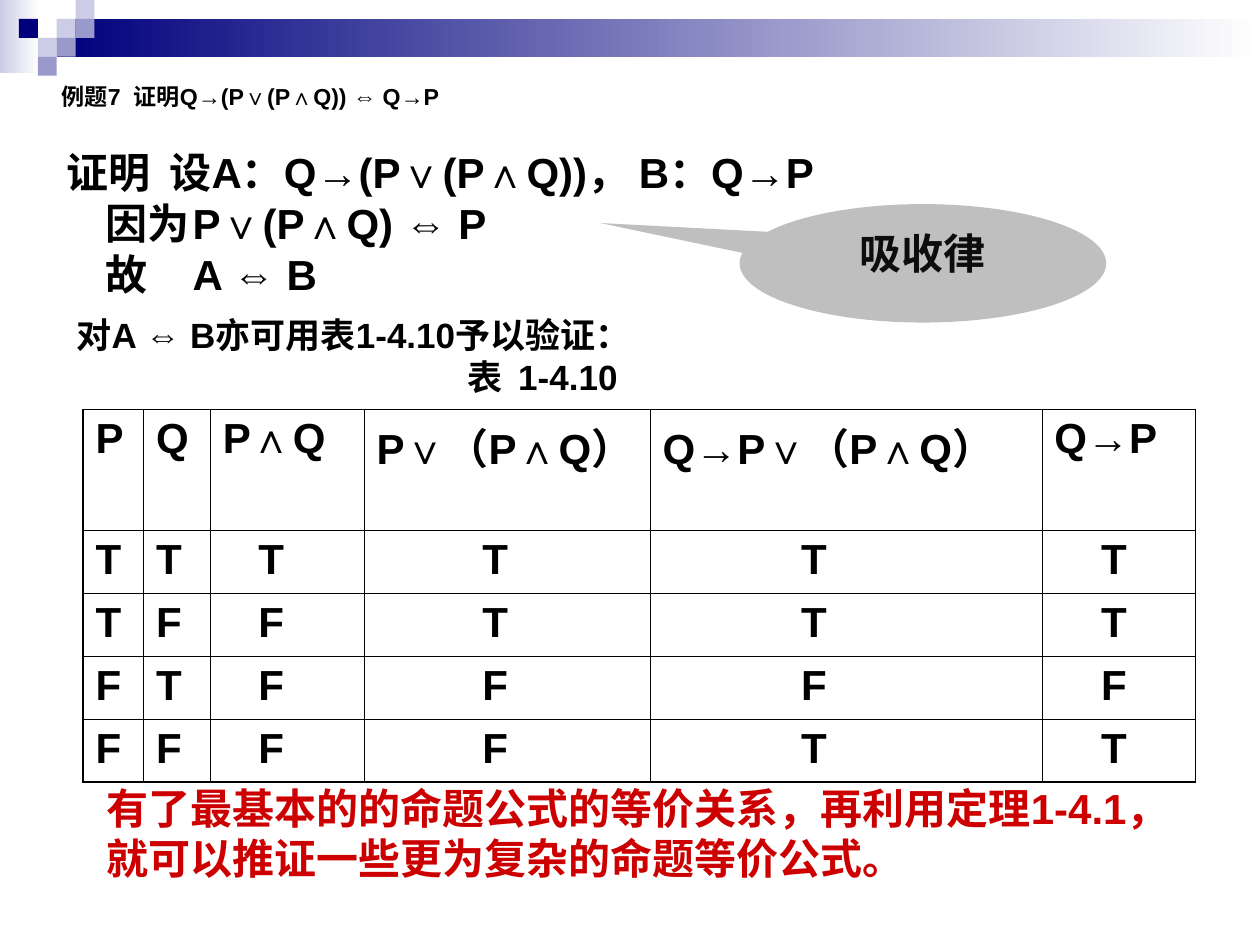
from dataclasses import dataclass

from lxml.etree import SubElement
from pptx import Presentation
from pptx.dml.color import RGBColor
from pptx.enum.shapes import MSO_SHAPE as Shape
from pptx.enum.text import MSO_ANCHOR as Anchor, MSO_AUTO_SIZE as AutoSize, PP_ALIGN as Align
from pptx.oxml import parse_xml
from pptx.oxml.ns import nsdecls, qn
from pptx.util import Inches, Pt


@dataclass(frozen=True)
class Theme:
    font: str = "Arial"
    ink: str = "000000"
    red: str = "CC0000"
    label: str = "0D0D0D"
    bubble: str = "BFBFBF"
    navy: str = "00007D"
    mid: str = "9999CC"
    pale: str = "CCCCE6"
    white: str = "FFFFFF"
    title: float = 13.2
    body: int = 24
    note: int = 20
    outer: float = 1.08
    inner: float = 0.45


THEME = Theme()


def color(value):
    return RGBColor.from_string(value)


def style(para, size, ink=THEME.ink, spacing=1.0, before=0):
    para.line_spacing = spacing
    para.space_before = Pt(before)
    para.font.name = THEME.font
    para.font.size = Pt(size)
    para.font.bold = True
    para.font.color.rgb = color(ink)


def set_indent(para, first, tab=None):
    props = para._p.get_or_add_pPr()
    props.set("marL", "0")
    props.set("indent", str(Inches(first)))
    if tab is not None:
        tabs = SubElement(props, qn("a:tabLst"))
        SubElement(tabs, qn("a:tab"), pos=str(Inches(tab)), algn="l")


def add_text(page, box, lines, size, ink=THEME.ink, spacing=1.0, before=0):
    frame = page.shapes.add_textbox(*map(Inches, box)).text_frame
    frame.word_wrap = True
    for index, (text, first, tab) in enumerate(lines):
        para = frame.paragraphs[0] if index == 0 else frame.add_paragraph()
        para.text = text
        set_indent(para, first, tab)
        style(para, size, ink, spacing, before if index else 0)


def add_block(page, kind, box, fill, fade_to=None):
    block = page.shapes.add_shape(kind, *map(Inches, box))
    block.shadow.inherit = False
    block.line.fill.background()
    if fade_to:
        block.fill.gradient()
        block.fill.gradient_angle = 0
        for stop, position, value in zip(block.fill.gradient_stops, (0, 1), (fill, fade_to)):
            stop.position = position
            stop.color.rgb = color(value)
    else:
        block.fill.solid()
        block.fill.fore_color.rgb = color(fill)
    return block


def add_banner(page, box):
    left, top, width, unit = box
    add_block(page, Shape.RECTANGLE, (left, top, 0.31, 0.58), THEME.pale, THEME.white)
    add_block(page, Shape.RECTANGLE, (left + 3 * unit, top + unit, width - 3 * unit, 2 * unit),
              THEME.navy, THEME.white)
    mosaic = {
        THEME.pale: [(3, 1), (4, 0), (2, 2)],
        THEME.mid: [(4, 1), (3, 2), (2, 3)],
        THEME.navy: [(1, 1)],
    }
    for fill, tiles in mosaic.items():
        for column, row in tiles:
            add_block(page, Shape.RECTANGLE, (left + column * unit, top + row * unit, unit, unit), fill)


def add_title(page, box, text):
    title = page.shapes.title
    title.left, title.top, title.width, title.height = map(Inches, box)
    frame = title.text_frame
    frame.auto_size = AutoSize.NONE
    frame.vertical_anchor = Anchor.TOP
    frame.margin_left = Inches(0.14)
    para = frame.paragraphs[0]
    para.text = text
    para.alignment = Align.LEFT
    style(para, THEME.title, spacing=0.6)


def set_borders(cell, weights):
    props = cell._tc.get_or_add_tcPr()
    for index, (side, weight) in enumerate(weights.items()):
        props.insert(index, parse_xml(
            f'<a:ln{side} {nsdecls("a")} w="{Pt(weight)}"><a:solidFill>'
            f'<a:srgbClr val="{THEME.ink}"/></a:solidFill></a:ln{side}>'))


def add_truth_table(page, box):
    headers = ["P", "Q", "P∧Q", "P∨（P∧Q）", "Q→P∨（P∧Q）", "Q→P"]
    rows = [headers, *("TTTTTT", "TFFTTT", "FTFFFF", "FFFFTT")]
    widths = [0.48, 0.53, 1.22, 2.27, 3.11, 1.22]
    heights = [0.9] + [0.5] * 4
    shifts = [0, 0, 0.28, 0.84, 1.1, 0.37]
    table = page.shapes.add_table(len(rows), len(headers), *map(Inches, box)).table
    table.first_row = table.horz_banding = False
    for column, width in zip(table.columns, widths):
        column.width = Inches(width)
    last_row, last_column = len(rows) - 1, len(headers) - 1
    for r, values in enumerate(rows):
        table.rows[r].height = Inches(heights[r])
        for c, value in enumerate(values):
            cell = table.cell(r, c)
            cell.fill.background()
            cell.margin_left = Inches(0.1 + (shifts[c] if r else 0))
            para = cell.text_frame.paragraphs[0]
            para.text = value
            style(para, THEME.body)
            edges = {"L": c == 0, "R": c == last_column, "T": r == 0, "B": r == last_row}
            set_borders(cell, {side: THEME.outer if edge else THEME.inner
                               for side, edge in edges.items()})


def add_callout(page, box, text):
    bubble = add_block(page, Shape.OVAL_CALLOUT, box, THEME.bubble)
    bubble.adjustments[0] = -0.88
    bubble.adjustments[1] = -0.34
    frame = bubble.text_frame
    frame.vertical_anchor = Anchor.TOP
    para = frame.paragraphs[0]
    para.text = text
    para.alignment = Align.CENTER
    style(para, THEME.body, THEME.label)


def build_page(deck):
    page = deck.slides.add_slide(deck.slide_layouts[5])
    add_banner(page, (0, 0, 10, 0.15))
    add_title(page, (0.35, 0.68, 9.39, 0.47), "例题7  证明Q→(P∨(P∧Q)) ⇔ Q→P")
    add_truth_table(page, (0.66, 3.25, 8.83, 2.9))
    add_text(page, (0.75, 6.16, 8.9, 0.9), [
        ("有了最基本的的命题公式的等价关系，再利用定理1-4.1，就可以推证一些更为复杂的命题等价公式。", 0, None),
    ], THEME.body, THEME.red)
    add_text(page, (0.43, 1.19, 8.98, 1.22), [
        ("证明  设A：Q→(P∨(P∧Q))， B：Q→P", 0, None),
        ("因为\tP∨(P∧Q) ⇔ P", 0.31, 1.65),
        ("故\tA ⇔ B", 0.31, 1.55),
    ], THEME.body, spacing=0.8, before=6)
    add_text(page, (0.51, 2.5, 8.03, 0.71), [
        ("对A ⇔ B亦可用表1-4.10予以验证：", 0, None),
        ("表  1-4.10", 3.1, None),
    ], THEME.note, spacing=0.8, before=5)
    add_callout(page, (5.87, 1.62, 2.91, 0.94), "吸收律")


def main():
    deck = Presentation()
    deck.slide_width, deck.slide_height = Inches(10), Inches(7.5)
    build_page(deck)
    deck.save("out.pptx")


if __name__ == "__main__":
    main()
